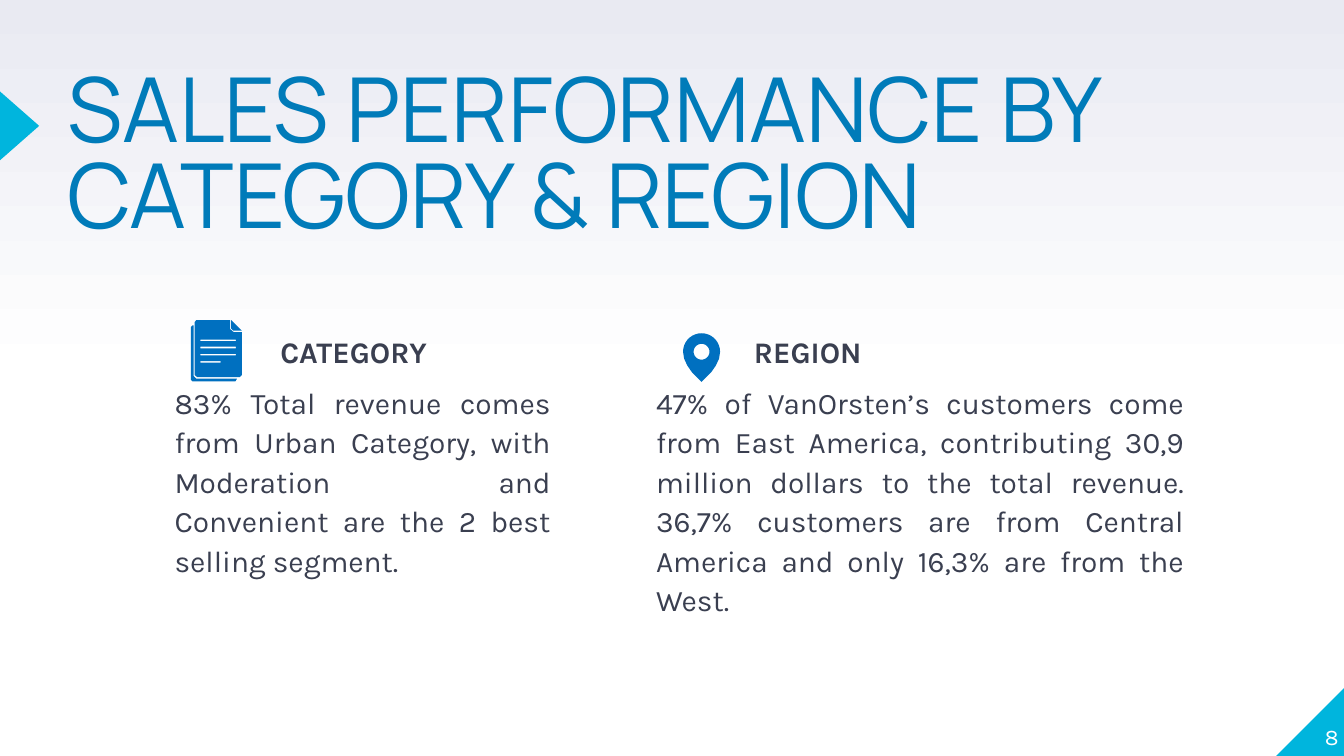
import copy
import math
from dataclasses import dataclass

import pptx
import pptx.dml.color
import pptx.enum.shapes
import pptx.enum.text
import pptx.oxml.ns
import pptx.util

Cm = pptx.util.Cm
Align = pptx.enum.text.PP_ALIGN
Anchor = pptx.enum.text.MSO_ANCHOR
Preset = pptx.enum.shapes.MSO_SHAPE
qn = pptx.oxml.ns.qn

Point = tuple[float, float]
Outline = list[Point]


@dataclass(frozen=True)
class Theme:
    title_font: str = "Manrope"
    body_font: str = "Karla"
    title_size: int = 48
    body_size: int = 16
    number_size: int = 12
    title_color: str = "007BB9"
    body_color: str = "3A3F50"
    accent: str = "00B5DD"
    icon: str = "0070C0"
    light: str = "FFFFFF"
    shade: str = "E9EAF2"


@dataclass(frozen=True)
class Box:
    left: float
    top: float
    width: float
    height: float

    def lengths(self) -> list:
        return [Cm(value) for value in (self.left, self.top, self.width, self.height)]


@dataclass(frozen=True)
class Column:
    box: Box
    heading: str
    heading_indent: float
    body: str


THEME = Theme()
COLUMNS = [
    Column(Box(3.3, 6.25, 7.11, 6.83), "CATEGORY", 2.0,
           "83% Total revenue comes from Urban Category, with Moderation and "
           "Convenient are the 2 best selling segment."),
    Column(Box(12.4, 6.25, 9.98, 6.91), "REGION", 1.85,
           "47% of VanOrsten’s customers come from East America, contributing "
           "30,9 million dollars to the total revenue. 36,7% customers are from "
           "Central America and only 16,3% are from the West."),
]


def rgb(value: str) -> pptx.dml.color.RGBColor:
    return pptx.dml.color.RGBColor.from_string(value)


def paint(shape, color: str) -> None:
    shape.shadow.inherit = False
    shape.fill.solid()
    shape.fill.fore_color.rgb = rgb(color)
    shape.line.fill.background()


def set_background(slide) -> None:
    fill = slide.background.fill
    fill.gradient()
    fill.gradient_angle = 90
    stop_list = next(slide.element.iter(qn("a:gsLst")))
    stop_list.append(copy.deepcopy(stop_list[-1]))
    colors = [(0, THEME.light), (0.5, THEME.light), (1, THEME.shade)]
    for stop, (position, color) in zip(fill.gradient_stops, colors):
        stop.position = position
        stop.color.rgb = rgb(color)


def add_preset(slide, preset, box: Box, color: str):
    shape = slide.shapes.add_shape(preset, *box.lengths())
    paint(shape, color)
    return shape


def add_text_frame(slide, box: Box, anchor=Anchor.TOP):
    frame = slide.shapes.add_textbox(*box.lengths()).text_frame
    settings = {"word_wrap": True, "vertical_anchor": anchor, "margin_left": 0,
                "margin_right": 0, "margin_top": 0, "margin_bottom": 0}
    for name, value in settings.items():
        setattr(frame, name, value)
    return frame


def write(paragraph, text: str, font: str, size: int, color: str,
          bold: bool = False, **layout) -> None:
    run = paragraph.add_run()
    run.text = text
    run.font.color.rgb = rgb(color)
    formats = {"name": font, "size": pptx.util.Pt(size), "bold": bold}
    for name, value in formats.items():
        setattr(run.font, name, value)
    for name, value in layout.items():
        setattr(paragraph, name, value)


def add_column(slide, column: Column) -> None:
    frame = add_text_frame(slide, column.box)
    layout = {"alignment": Align.JUSTIFY, "line_spacing": 1.1,
              "space_before": pptx.util.Pt(6)}
    style = (THEME.body_font, THEME.body_size, THEME.body_color)
    heading = frame.paragraphs[0]
    write(heading, column.heading, *style, bold=True, **layout)
    heading._p.get_or_add_pPr().set("marL", str(Cm(column.heading_indent)))
    write(frame.add_paragraph(), column.body, *style, **layout)


def add_outline(shapes, outlines: list[Outline]) -> None:
    """Draw closed outlines as one shape; inner outlines become holes."""
    contours = [[(Cm(x), Cm(y)) for x, y in outline] for outline in outlines]
    builder = shapes.build_freeform(*contours[0][0])
    for index, contour in enumerate(contours):
        if index:
            builder.move_to(*contour[0])
        builder.add_line_segments(contour[1:], close=True)
    paint(builder.convert_to_shape(), THEME.icon)


def arc(x: float, y: float, radius: float, start: int, end: int) -> Outline:
    angles = [math.radians(degree) for degree in range(start, end + 1, 10)]
    return [(x + radius * math.cos(a), y + radius * math.sin(a)) for a in angles]


def add_document_icon(slide) -> None:
    shapes = slide.shapes.add_group_shape().shapes
    # Back page
    add_outline(shapes, [[(3.64, 6.15), (3.61, 6.18), (3.61, 7.18), (3.64, 7.21),
                          (4.45, 7.21), (4.48, 7.16), (3.71, 7.16), (3.66, 7.11),
                          (3.66, 6.15)]])
    # Front page with its text lines cut out
    page = [(3.71, 6.05), (3.68, 6.09), (3.68, 7.09), (3.73, 7.13), (4.53, 7.13),
            (4.57, 7.09), (4.57, 6.28), (4.42, 6.28), (4.35, 6.22), (4.35, 6.05)]
    text_lines = []
    for row, right in enumerate((4.46, 4.46, 4.46, 4.17)):
        top = 6.42 + 0.135 * row
        text_lines.append([(3.79, top), (right, top),
                           (right, top + 0.03), (3.79, top + 0.03)])
    add_outline(shapes, [page, *text_lines])
    # Folded corner
    add_outline(shapes, [[(4.37, 6.05), (4.37, 6.21), (4.41, 6.25), (4.57, 6.25)]])


def add_pin_icon(slide) -> None:
    x, y = 13.26, 6.65
    side = [(0.33, 0.13), (0.27, 0.26), (0.18, 0.39)]
    right = [(x + dx, y + dy) for dx, dy in side]
    left = [(x - dx, y + dy) for dx, dy in reversed(side)]
    head = arc(x, y, 0.35, 180, 360)
    add_outline(slide.shapes, [head + right + [(x, y + 0.57)] + left,
                               arc(x, y, 0.15, 0, 350)])


def main() -> None:
    presentation = pptx.Presentation()
    presentation.slide_width = Cm(25.4)
    presentation.slide_height = Cm(14.29)
    slide = presentation.slides.add_slide(presentation.slide_layouts[6])
    set_background(slide)

    # Corner and title marker
    corner = add_preset(slide, Preset.RIGHT_TRIANGLE,
                        Box(24.12, 12.99, 1.3, 1.3), THEME.accent)
    corner.element.spPr.find(qn("a:xfrm")).set("flipH", "1")
    marker = add_preset(slide, Preset.ISOSCELES_TRIANGLE,
                        Box(-0.28, 2.01, 1.3, 0.74), THEME.accent)
    marker.rotation = 90

    # Title
    title = add_text_frame(slide, Box(1.27, 1.4, 22.76, 3))
    write(title.paragraphs[0], "SALES PERFORMANCE BY CATEGORY & REGION",
          THEME.title_font, THEME.title_size, THEME.title_color, line_spacing=0.8)

    # Text columns
    for column in COLUMNS:
        add_column(slide, column)

    # Slide number
    number = add_text_frame(slide, Box(24.03, 12.88, 1.27, 1.3), Anchor.BOTTOM)
    write(number.paragraphs[0], "8", THEME.body_font, THEME.number_size,
          THEME.light, alignment=Align.RIGHT)

    # Icons
    add_document_icon(slide)
    add_pin_icon(slide)
    presentation.save("out.pptx")


if __name__ == "__main__":
    main()
